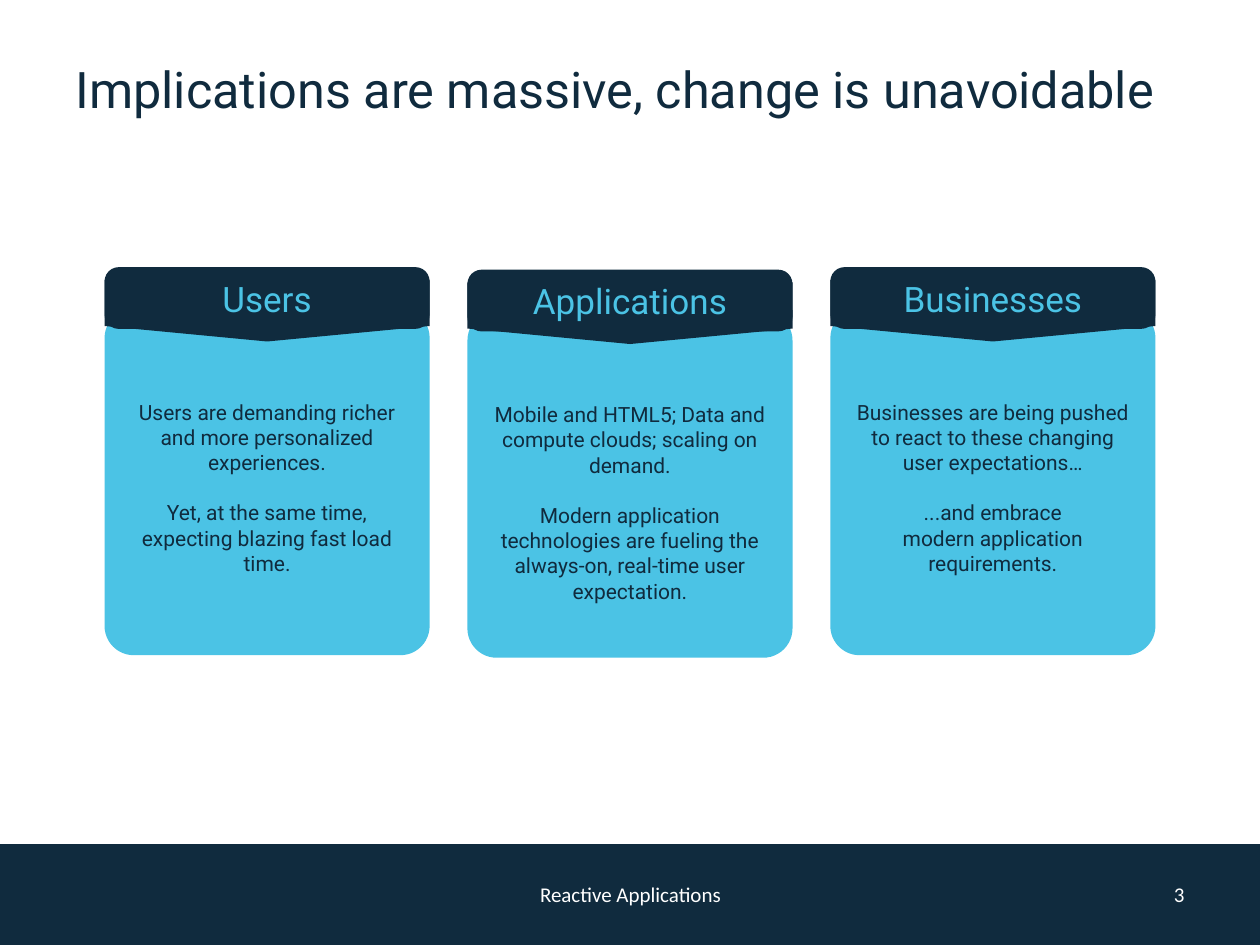
from pptx import Presentation
from pptx.dml.color import RGBColor
from pptx.enum.shapes import MSO_SHAPE
from pptx.enum.text import MSO_ANCHOR, MSO_AUTO_SIZE, PP_ALIGN
from pptx.util import Inches, Pt

RECTANGLE, ROUNDED, PENTAGON = MSO_SHAPE.RECTANGLE, MSO_SHAPE.ROUNDED_RECTANGLE, MSO_SHAPE.PENTAGON
TOP, MIDDLE = MSO_ANCHOR.TOP, MSO_ANCHOR.MIDDLE
LEFT, CENTER, RIGHT = PP_ALIGN.LEFT, PP_ALIGN.CENTER, PP_ALIGN.RIGHT
NAVY, SKY, WHITE = "102B3E", "4BC3E5", "FFFFFF"

SLIDE_W, SLIDE_H = 10, 7.5
MARGIN = 0.05 * SLIDE_W
FOOTER_H = 0.8
FOOTER_TOP = SLIDE_H - FOOTER_H
CARD_LEFT, CARD_W = 0.83, 2.58
CARD_PITCH = (SLIDE_W - 2 * CARD_LEFT - CARD_W) / 2
HEADER_H = 0.49

prs = Presentation()
prs.slide_width, prs.slide_height = Inches(SLIDE_W), Inches(SLIDE_H)
slide = prs.slides.add_slide(prs.slide_layouts[5])


def add_block(preset, color, left, top, width, height, corner=None):
    block = slide.shapes.add_shape(preset, Inches(left), Inches(top), Inches(width), Inches(height))
    block.shadow.inherit = False
    block.fill.solid()
    block.fill.fore_color.rgb = RGBColor.from_string(color)
    block.line.fill.background()
    if corner is not None:
        block.adjustments[0] = corner
    return block


def write(holder, paragraphs, size, font, color, align, anchor=MIDDLE, gap=0):
    frame = holder.text_frame
    frame.word_wrap = True
    frame.auto_size = MSO_AUTO_SIZE.NONE
    frame.vertical_anchor = anchor
    for i, text in enumerate(paragraphs):
        paragraph = frame.add_paragraph() if i else frame.paragraphs[0]
        paragraph.text = text
        paragraph.alignment = align
        paragraph.space_before = Pt(gap if i else 0)
        paragraph.font.size = Pt(size)
        paragraph.font.name = font
        paragraph.font.color.rgb = RGBColor.from_string(color)


title = slide.shapes.title
title.left, title.top = Inches(MARGIN), Inches(0.04 * SLIDE_H)
title.width, title.height = Inches(SLIDE_W - 2 * MARGIN), Inches(0.8)
write(title, ["Implications are massive, change is unavoidable"], 28.8, "Roboto", NAVY, LEFT)

add_block(RECTANGLE, NAVY, 0, FOOTER_TOP, SLIDE_W, FOOTER_H)
for text, left, width, align in [
    ("Reactive Applications", 3.42, 3.17, CENTER),
    ("3", 7.17, 2.33, RIGHT),
]:
    footer = slide.shapes.add_textbox(Inches(left), Inches(FOOTER_TOP), Inches(width), Inches(FOOTER_H))
    write(footer, [text], 12, "Calibri", WHITE, align)

cards = [
    ("Users", 2.12, [
        "Users are demanding richer and more personalized experiences.",
        "Yet, at the same time, expecting blazing fast load time.",
    ]),
    ("Applications", 2.14, [
        "Mobile and HTML5; Data and compute clouds; scaling on demand.",
        "Modern application technologies are fueling the always-on, real-time user expectation.",
    ]),
    ("Businesses", 2.12, [
        "Businesses are being pushed to react to these changing user expectations…",
        "...and embrace\vmodern application requirements.",
    ]),
]

for column, (heading, top, statements) in enumerate(cards):
    left = CARD_LEFT + column * CARD_PITCH

    body = add_block(ROUNDED, SKY, left, top + 0.33, CARD_W, 2.75, 0.09)
    body.text_frame.margin_top = Inches(0.65)
    write(body, statements, 12, "Roboto", NAVY, CENTER, TOP, gap=14.4)

    add_block(ROUNDED, NAVY, left, top, CARD_W, HEADER_H, 0.23)
    pointer_shift = (CARD_W - HEADER_H) / 2
    pointer = add_block(PENTAGON, NAVY, left + pointer_shift, top + 0.1 - pointer_shift,
                        HEADER_H, CARD_W, 0.25)
    pointer.rotation = 90

    label = slide.shapes.add_textbox(Inches(left), Inches(top), Inches(CARD_W), Inches(HEADER_H))
    write(label, [heading], 20, "Roboto", SKY, CENTER)

prs.save("out.pptx")
